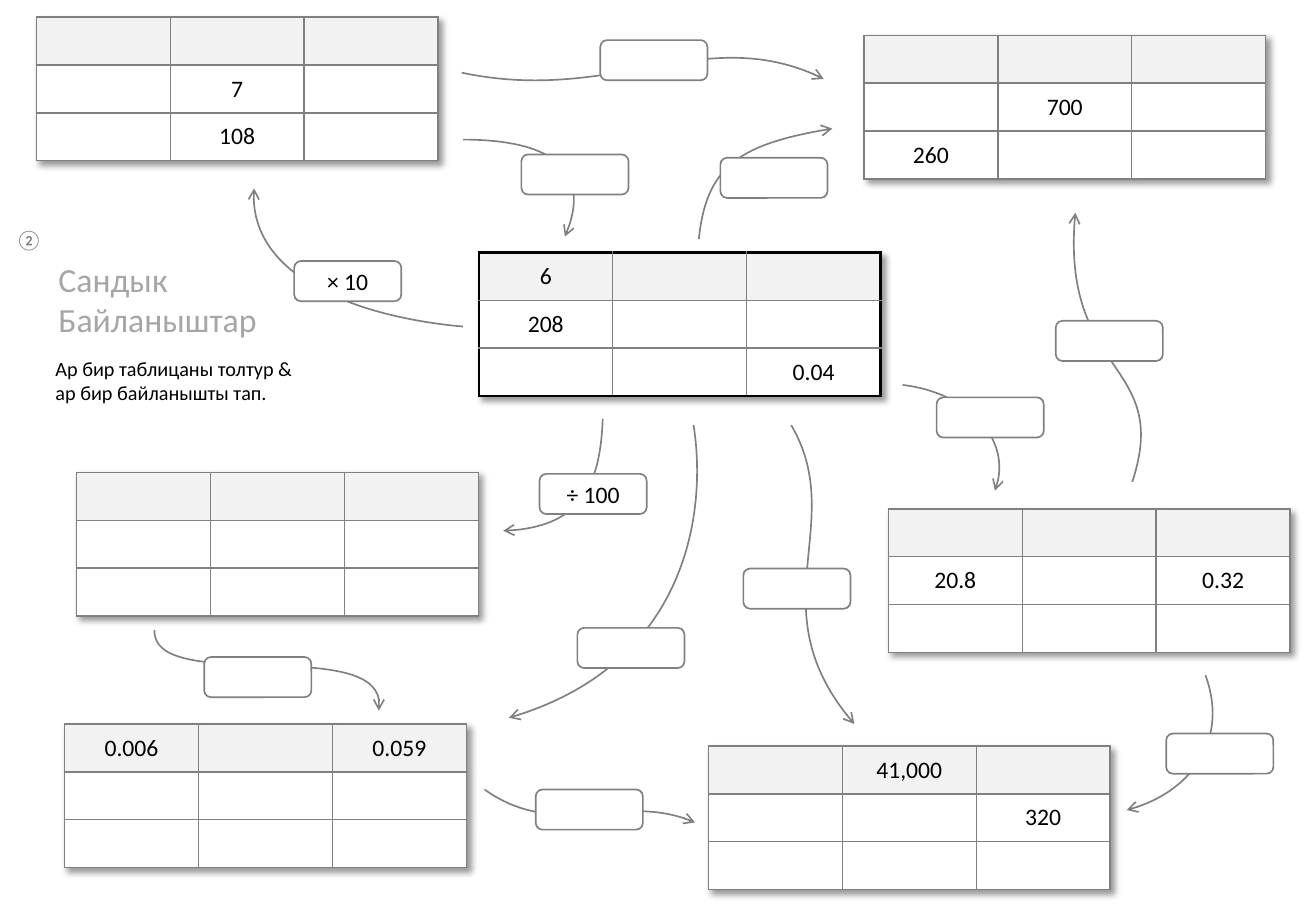
from lxml import etree
from pptx import Presentation
from pptx.dml.color import RGBColor
from pptx.enum.shapes import MSO_SHAPE
from pptx.enum.text import MSO_ANCHOR, MSO_AUTO_SIZE, PP_ALIGN
from pptx.oxml.ns import nsdecls, qn
from pptx.util import Cm, Pt

ROUNDED = MSO_SHAPE.ROUNDED_RECTANGLE
TOP, MIDDLE = MSO_ANCHOR.TOP, MSO_ANCHOR.MIDDLE
LEFT, CENTER = PP_ALIGN.LEFT, PP_ALIGN.CENTER
NO_FIT = MSO_AUTO_SIZE.NONE

FONT = "Calibri"
BLACK, GRAY, PALE, WHITE, TITLE_GRAY = "000000", "808080", "F2F2F2", "FFFFFF", "A6A6A6"

TITLE = "Сандык\nБайланыштар"
INSTRUCTION = "Ар бир таблицаны толтур &\nар бир байланышты тап."
NUMBER = "②"

# (left, top) in cm, {(row, column): number}
GRIDS = [
    ((0.76, 0.36), {(1, 1): "7", (2, 1): "108"}),
    ((10.01, 5.28), {(0, 0): "6", (1, 0): "208", (2, 2): "0.04"}),
    ((18.06, 0.74), {(1, 1): "700", (2, 0): "260"}),
    ((18.57, 10.64), {(1, 0): "20.8", (1, 2): "0.32"}),
    ((14.81, 15.6), {(0, 1): "41,000", (1, 2): "320"}),
    ((1.35, 15.14), {(0, 0): "0.006", (0, 2): "0.059"}),
    ((1.6, 9.88), {}),
]
CENTRAL_GRID = 1
GRID_SIZE, COLUMN_WIDTH, ROW_HEIGHT = 3, 2.8, 1.0

# start, two control points and end of the arrow, corner of its label, operation
LINKS = [
    ([(9.65, 1.52), (12.75, 2.18), (14.76, 0.43), (17.22, 1.65)], (12.55, 0.84), ""),
    ([(14.61, 5.0), (14.76, 3.51), (15.49, 3.0), (17.4, 2.69)], (15.06, 3.3), ""),
    ([(23.67, 10.08), (24.49, 7.59), (22.15, 7.9), (22.48, 4.45)], (22.07, 6.71), ""),
    ([(18.87, 8.05), (20.14, 8.2), (21.21, 9.19), (20.8, 10.26)], (19.58, 8.31), ""),
    ([(9.68, 6.83), (7.67, 6.65), (5.16, 5.84), (5.31, 3.94)], (6.15, 5.46), "× 10"),
    ([(25.2, 14.12), (25.68, 15.42), (24.87, 16.61), (23.55, 16.94)], (24.38, 15.34), ""),
    ([(14.5, 8.89), (14.78, 10.64), (14.4, 13.92), (10.64, 15.01)], (12.07, 13.13), ""),
    ([(3.23, 13.18), (3.18, 14.5), (8.2, 13.21), (7.92, 14.86)], (4.27, 13.74), ""),
    ([(12.6, 8.76), (12.55, 10.16), (12.09, 11.05), (10.52, 11.1)], (11.28, 9.91), "÷ 100"),
    ([(16.54, 8.89), (17.73, 10.92), (15.77, 12.73), (17.86, 15.14)], (15.54, 11.89), ""),
    ([(10.13, 16.51), (11.58, 17.55), (13.03, 16.54), (14.53, 17.2)], (11.2, 16.51), ""),
    ([(9.68, 2.92), (10.92, 2.92), (12.55, 3.23), (11.81, 4.95)], (10.9, 3.23), ""),
]
LABEL_SIZE = (2.24, 0.84)
CURVE_STEPS = 24

NO_MARGINS = {"margin_left": 0, "margin_right": 0, "margin_top": 0, "margin_bottom": 0}
PLAIN_FRAME = {"word_wrap": False, "auto_size": NO_FIT, "vertical_anchor": TOP,
               "margin_left": Cm(0.25), "margin_right": Cm(0.25),
               "margin_top": Cm(0.13), "margin_bottom": Cm(0.13)}
LABEL_FRAME = {"word_wrap": True, "vertical_anchor": MIDDLE, "margin_left": 0, "margin_right": 0}


def rgb(color):
    return RGBColor.from_string(color)


def apply(target, values):
    for name, value in values.items():
        setattr(target, name, value)


def write(frame, text, size, color=BLACK, align=LEFT):
    frame.text = text
    for paragraph in frame.paragraphs:
        paragraph.alignment = align
        apply(paragraph.font, {"size": Pt(size), "name": FONT})
        paragraph.font.color.rgb = rgb(color)


def outline(shape):
    shape.shadow.inherit = False
    shape.line.color.rgb = rgb(GRAY)
    shape.line.width = Pt(1)


def add_arrow(shapes, points):
    """Draw one cubic curve with an open arrowhead at its end."""
    def at(t):
        weights = ((1 - t) ** 3, 3 * t * (1 - t) ** 2, 3 * t * t * (1 - t), t ** 3)
        return tuple(Cm(sum(w * p[axis] for w, p in zip(weights, points))) for axis in (0, 1))

    builder = shapes.build_freeform(*at(0))
    builder.add_line_segments([at(i / CURVE_STEPS) for i in range(1, CURVE_STEPS + 1)], close=False)
    arrow = builder.convert_to_shape()
    outline(arrow)
    arrow.fill.background()

    # The sampled points set the extent; one Bézier segment takes their place.
    outline_path = next(arrow.element.iter(qn("a:path")))
    for segment in outline_path.findall(qn("a:lnTo")):
        outline_path.remove(segment)
    curve = etree.SubElement(outline_path, qn("a:cubicBezTo"))
    for x, y in points[1:]:
        etree.SubElement(curve, qn("a:pt"), x=str(Cm(x) - arrow.left), y=str(Cm(y) - arrow.top))
    etree.SubElement(next(arrow.element.iter(qn("a:ln"))), qn("a:tailEnd"), type="arrow")


def add_label(shapes, corner, operation):
    label = shapes.add_shape(ROUNDED, *map(Cm, corner + LABEL_SIZE))
    outline(label)
    label.fill.solid()
    label.fill.fore_color.rgb = rgb(WHITE)
    if operation:
        apply(label.text_frame, LABEL_FRAME)
        write(label.text_frame, operation, 14, align=CENTER)


def add_border(cell, side, color, width):
    line = etree.SubElement(cell._tc.get_or_add_tcPr(), qn(f"a:ln{side}"), w=str(Pt(width)))
    fill = etree.SubElement(line, qn("a:solidFill"))
    etree.SubElement(fill, qn("a:srgbClr"), val=color)


def add_grid(shapes, corner, numbers, central):
    size = (GRID_SIZE * COLUMN_WIDTH, GRID_SIZE * ROW_HEIGHT)
    table = shapes.add_table(GRID_SIZE, GRID_SIZE, *map(Cm, corner + size)).table
    table.horz_banding = False
    table._tbl.tblPr.insert(0, etree.fromstring(
        f'<a:effectLst {nsdecls("a")}><a:outerShdw blurRad="50800" dist="38100" dir="2700000" '
        'algn="tl" rotWithShape="0"><a:srgbClr val="000000"><a:alpha val="40000"/></a:srgbClr>'
        '</a:outerShdw></a:effectLst>'))
    last = GRID_SIZE - 1
    for row in range(GRID_SIZE):
        for column in range(GRID_SIZE):
            cell = table.cell(row, column)
            outer = {"L": column == 0, "R": column == last, "T": row == 0, "B": row == last}
            for side, on_edge in outer.items():
                add_border(cell, side, *((BLACK, 1.5) if central and on_edge else (GRAY, 1)))
            cell.fill.solid()
            cell.fill.fore_color.rgb = rgb(WHITE if row else PALE)
            apply(cell, {**NO_MARGINS, "vertical_anchor": MIDDLE})
            write(cell.text_frame, numbers.get((row, column), ""), 14, align=CENTER)


def place_text(box, bounds, text, size, color):
    apply(box, dict(zip(("left", "top", "width", "height"), map(Cm, bounds))))
    apply(box.text_frame, PLAIN_FRAME)
    write(box.text_frame, text, size, color)


def main():
    deck = Presentation()
    apply(deck, {"slide_width": Cm(27.51), "slide_height": Cm(19.05)})
    slide = deck.slides.add_slide(deck.slide_layouts[5])
    shapes = slide.shapes

    place_text(shapes.title, (0.97, 5.28, 4.7, 1.96), TITLE, 20, TITLE_GRAY)
    for bounds, text, color in [((0.91, 7.32, 5.69, 1.27), INSTRUCTION, BLACK),
                                ((0.08, 4.62, 1.09, 0.76), NUMBER, GRAY)]:
        place_text(shapes.add_textbox(0, 0, 0, 0), bounds, text, 12, color)

    for points, corner, operation in LINKS:
        add_arrow(shapes, points)
        add_label(shapes, corner, operation)
    for index, (corner, numbers) in enumerate(GRIDS):
        add_grid(shapes, corner, numbers, index == CENTRAL_GRID)

    deck.save("out.pptx")


if __name__ == "__main__":
    main()
